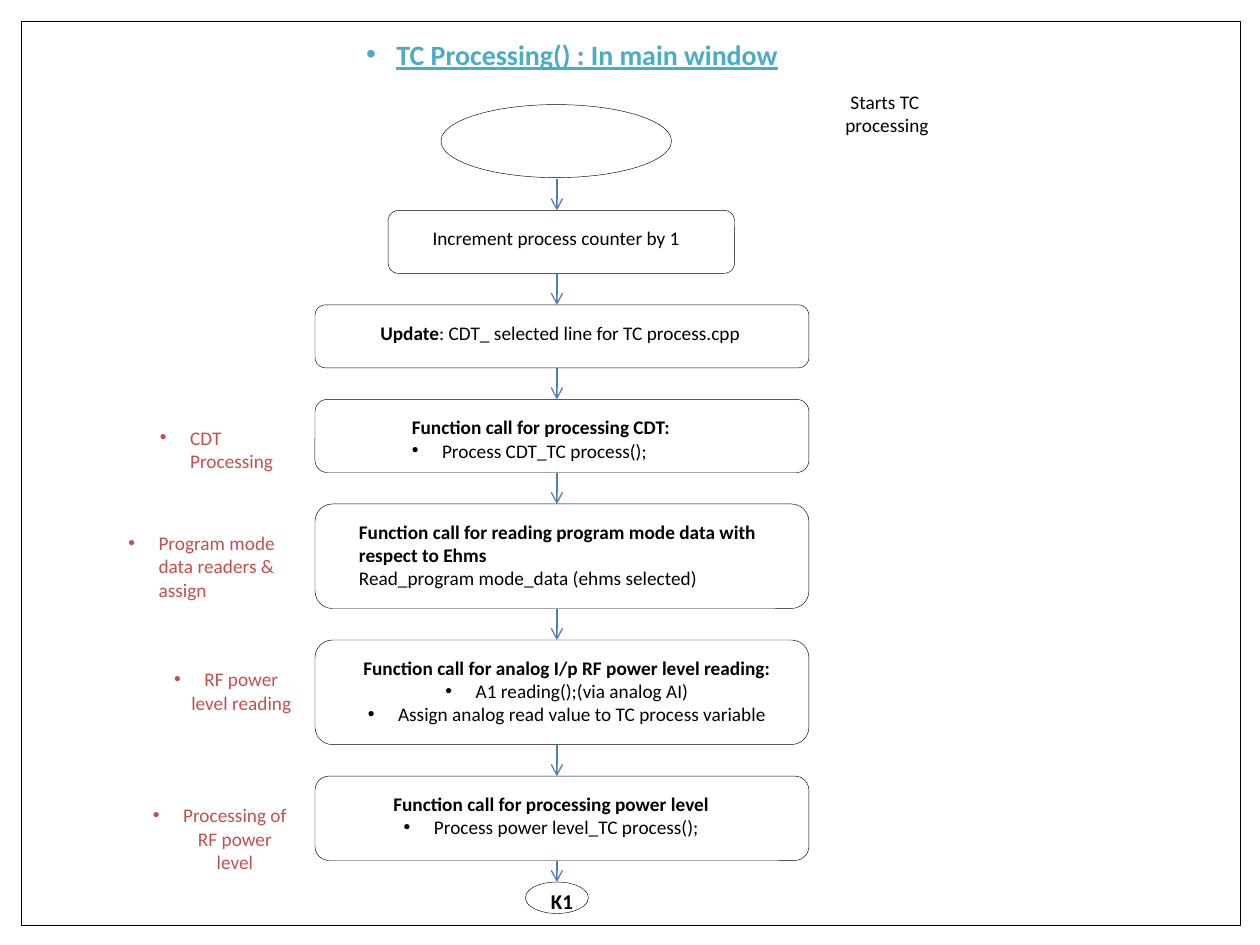
from lxml.etree import SubElement
from pptx import Presentation
from pptx.dml.color import RGBColor
from pptx.enum.shapes import MSO_CONNECTOR, MSO_SHAPE
from pptx.enum.text import MSO_AUTO_SIZE, PP_ALIGN
from pptx.oxml.ns import qn
from pptx.util import Inches, Pt

BLACK, TEAL, RED, BLUE = "000000", "4BACC6", "C0504D", "4A7EBB"
LEFT, CENTER = PP_ALIGN.LEFT, PP_ALIGN.CENTER
FLOW_X = 4.42
GAP = 0.25
TEXT_OFFSET = 0.08
BULLET_INDENT = 0.24

# Each step: box left, width, height; text left, width, alignment; paragraphs.
# A paragraph is (bulleted, runs) and a run is (text, bold).
STEPS = [
    (3.08, 2.75, 0.5, 3.33, 2.17, CENTER,
     [(False, [("Increment process counter by 1", False)])]),
    (2.5, 3.92, 0.5, 2.92, 3.17, LEFT,
     [(False, [("Update", True), (": CDT_ selected line for TC process.cpp", False)])]),
    (2.5, 3.92, 0.58, 3.17, 2.33, LEFT,
     [(False, [("Function call for processing CDT:", True)]),
      (True, [("Process CDT_TC process();", False)])]),
    (2.5, 3.92, 0.83, 2.75, 3.42, LEFT,
     [(False, [("Function call for reading program mode data with respect to Ehms", True)]),
      (False, [("Read_program mode_data (ehms selected)", False)])]),
    (2.5, 3.92, 0.83, 2.75, 3.5, CENTER,
     [(False, [("Function call for analog I/p RF power level reading:", True)]),
      (True, [("A1 reading();(via analog AI)", False)]),
      (True, [("Assign analog read value to TC process variable", False)])]),
    (2.5, 3.92, 0.67, 3, 2.75, CENTER,
     [(False, [("Function call for processing power level", True)]),
      (True, [("Process power level_TC process();", False)])]),
]

# Side notes: left, top, width, height, alignment, text
NOTES = [
    (1.17, 3.33, 1.25, 0.29, LEFT, "CDT Processing"),
    (0.92, 4.17, 1.5, 0.47, LEFT, "Program mode data readers & assign"),
    (1.17, 5.25, 1.25, 0.47, CENTER, "RF power level reading"),
    (1.08, 6.33, 1.33, 0.47, CENTER, "Processing of RF power level"),
]


def color(value):
    return RGBColor.from_string(value)


def add_outline(slide, kind, left, top, width, height):
    shape = slide.shapes.add_shape(
        kind, Inches(left), Inches(top), Inches(width), Inches(height))
    shape.shadow.inherit = False
    shape.fill.background()
    shape.line.color.rgb = color(BLACK)
    shape.line.width = Pt(0.25)
    return shape


def add_bullet(paragraph):
    properties = paragraph._p.get_or_add_pPr()
    properties.set("marL", str(Inches(BULLET_INDENT)))
    properties.set("indent", str(-Inches(BULLET_INDENT)))
    SubElement(properties, qn("a:buFont")).set("typeface", "Arial")
    SubElement(properties, qn("a:buChar")).set("char", "•")


def add_text(slide, left, top, width, height, paragraphs,
             align=CENTER, size=11, text_color=BLACK, underline=False):
    box = slide.shapes.add_textbox(
        Inches(left), Inches(top), Inches(width), Inches(height))
    frame = box.text_frame
    frame.word_wrap = True
    frame.auto_size = MSO_AUTO_SIZE.SHAPE_TO_FIT_TEXT
    for index, (bulleted, runs) in enumerate(paragraphs):
        paragraph = frame.add_paragraph() if index else frame.paragraphs[0]
        paragraph.alignment = align
        if bulleted:
            add_bullet(paragraph)
        for text, bold in runs:
            run = paragraph.add_run()
            run.text = text
            font = run.font
            font.name = "Calibri"
            font.size = Pt(size)
            font.bold = bold
            font.underline = underline
            font.color.rgb = color(text_color)


def add_arrow(slide, top, bottom):
    arrow = slide.shapes.add_connector(
        MSO_CONNECTOR.STRAIGHT, Inches(FLOW_X), Inches(top),
        Inches(FLOW_X), Inches(bottom))
    arrow.line.color.rgb = color(BLUE)
    arrow.line.width = Pt(0.75)
    SubElement(arrow.line._get_or_add_ln(), qn("a:tailEnd")).set("type", "arrow")
    SubElement(arrow._element.spPr, qn("a:effectLst"))


def add_steps(slide, bottom):
    """Stack the steps below the start ellipse and return the last bottom edge."""
    for left, width, height, text_left, text_width, align, paragraphs in STEPS:
        top = bottom + GAP
        add_arrow(slide, bottom, top)
        box = add_outline(slide, MSO_SHAPE.ROUNDED_RECTANGLE, left, top, width, height)
        box.adjustments[0] = 0.167
        add_text(slide, text_left, top + TEXT_OFFSET, text_width,
                 height - 2 * TEXT_OFFSET, paragraphs, align)
        bottom = top + height
    return bottom


def main():
    presentation = Presentation()
    presentation.slide_width = Inches(10)
    presentation.slide_height = Inches(7.5)
    slide = presentation.slides.add_slide(presentation.slide_layouts[6])

    # Frame and title
    add_outline(slide, MSO_SHAPE.RECTANGLE, 0.17, 0.17, 9.67, 7.17)
    add_text(slide, 2.75, 0.25, 3.58, 0.37,
             [(True, [("TC Processing() : In main window", True)])],
             size=16, text_color=TEAL, underline=True)

    # Start
    add_outline(slide, MSO_SHAPE.OVAL, 3.5, 0.83, 1.83, 0.58)
    add_text(slide, 6.58, 0.67, 0.92, 0.47,
             [(False, [("Starts TC ", False)]), (False, [("processing", False)])])

    # Steps and side notes
    last_bottom = add_steps(slide, 1.42)
    for left, top, width, height, align, text in NOTES:
        add_text(slide, left, top, width, height, [(True, [(text, False)])],
                 align, text_color=RED)

    # Continuation mark
    add_arrow(slide, last_bottom, 7)
    add_outline(slide, MSO_SHAPE.OVAL, 4.17, 7, 0.5, 0.25)
    add_text(slide, 4.25, 7, 0.42, 0.3, [(False, [("K1", True)])], size=12)

    presentation.save("out.pptx")


if __name__ == "__main__":
    main()
